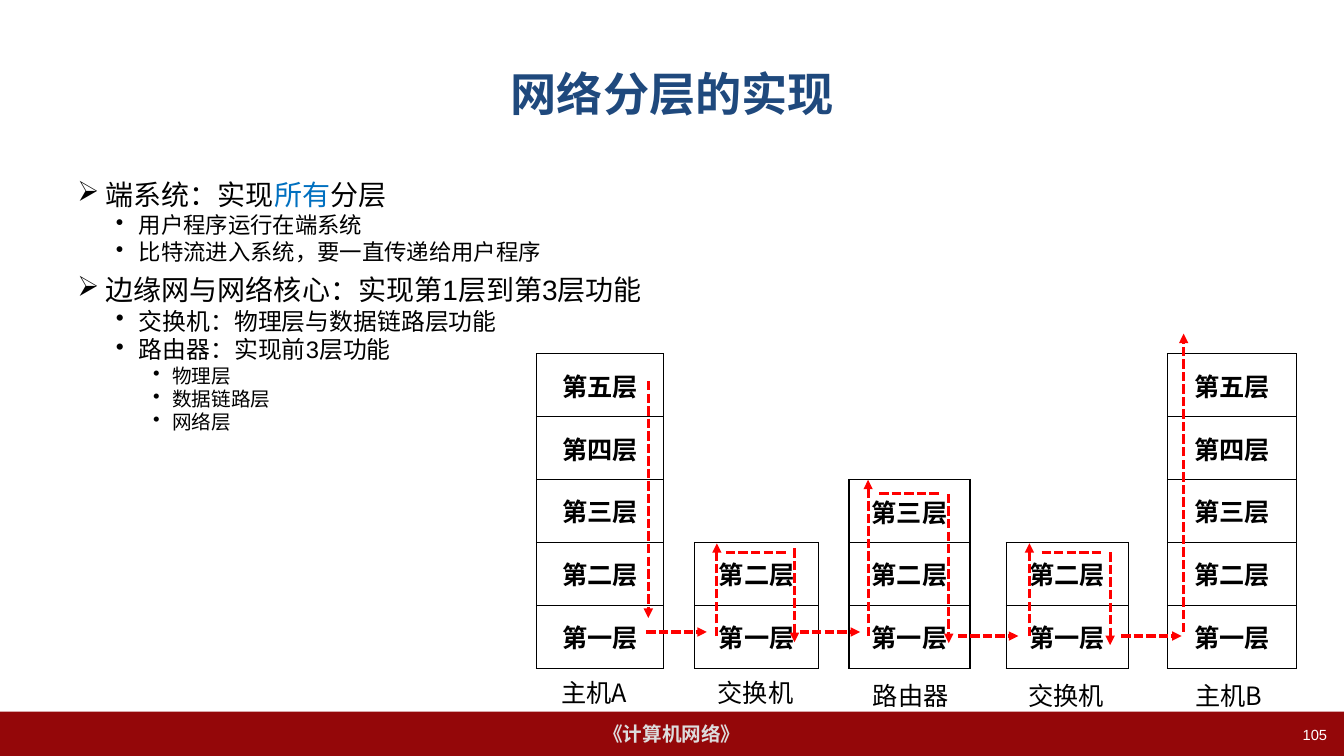
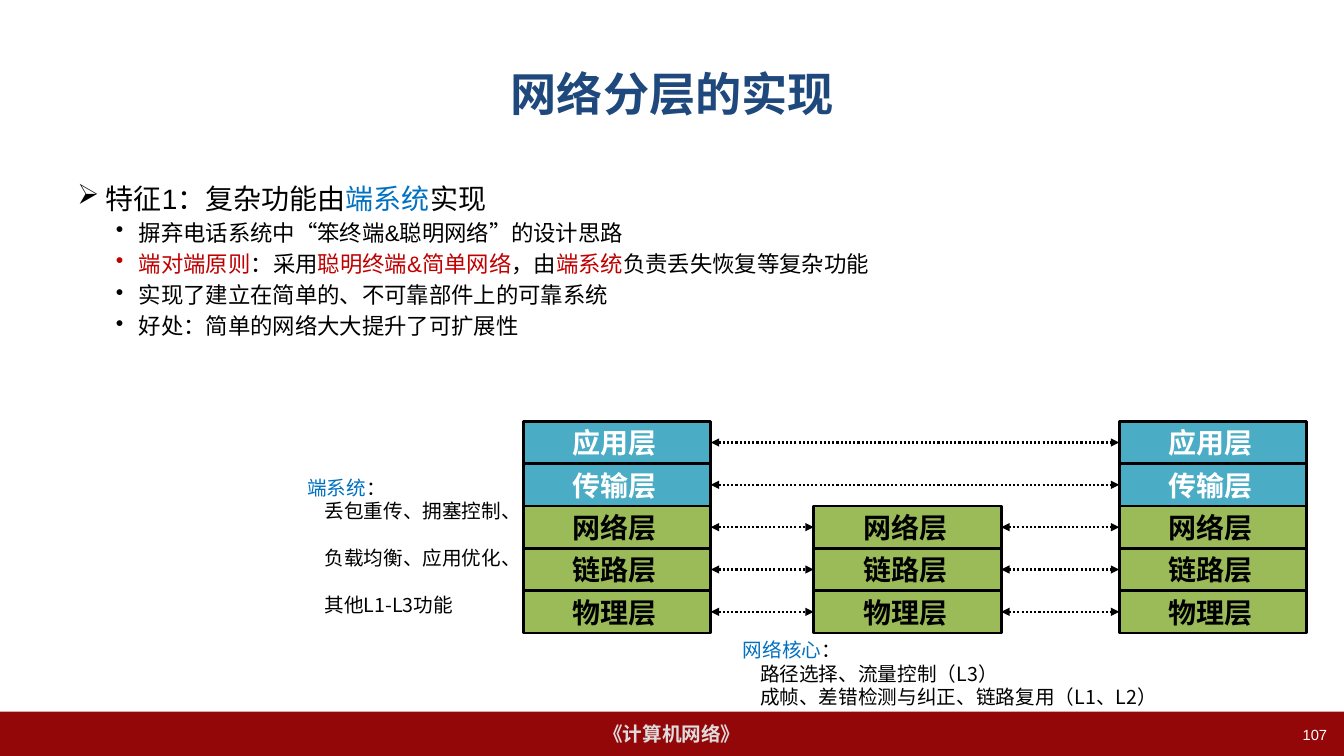
from itertools import product

from lxml.etree import SubElement
from pptx import Presentation
from pptx.dml.color import RGBColor
from pptx.enum.dml import MSO_LINE as Dash
from pptx.enum.shapes import MSO_CONNECTOR as Conn, MSO_SHAPE as Shape
from pptx.enum.text import MSO_ANCHOR as Anchor, PP_ALIGN as Align
from pptx.oxml.ns import qn
from pptx.util import Inches, Pt

BLACK = RGBColor(0, 0, 0)
WHITE = RGBColor(255, 255, 255)
NAVY = RGBColor(0x1F, 0x49, 0x7D)
MAROON = RGBColor(0x94, 0x07, 0x09)
SILVER = RGBColor(0xDD, 0xDD, 0xDD)
BLUE = RGBColor(0, 0x70, 0xC0)
CRIMSON = RGBColor(0xC0, 0, 0)
RED = RGBColor(255, 0, 0)
TEAL = RGBColor(0x4B, 0xAC, 0xC6)
GREEN = RGBColor(0x9B, 0xBB, 0x59)
SANS, CJK = "Arial", "Noto Sans CJK SC"

TITLE = "网络分层的实现"
COURSE = "《计算机网络》"
LEVELS = [
    ("➢", 0.28, 0.28, BLUE),
    ("•", 0.61, 0.23, CRIMSON),
    ("•", 0.94, 0.19, BLACK),
]

ROLES = [
    (0, 20, "端系统：实现|所有|分层"),
    (1, 16, "用户程序运行在端系统"),
    (1, 16, "比特流进入系统，要一直传递给用户程序"),
    (0, 20, "边缘网与网络核心：实现第1层到第3层功能"),
    (1, 17, "交换机：物理层与数据链路层功能"),
    (1, 17, "路由器：实现前3层功能"),
    (2, 14, "物理层"),
    (2, 14, "数据链路层"),
    (2, 14, "网络层"),
]
TRAITS = [
    (0, 20, "特征1：复杂功能由|端系统|实现"),
    (1, 16, "摒弃电话系统中“笨终端&聪明网络”的设计思路"),
    (1, 16, "|端对端原则|：采用|聪明终端&简单网络|，由|端系统|负责丢失恢复等复杂功能"),
    (1, 16, "实现了建立在简单的、不可靠部件上的可靠系统"),
    (1, 16, "好处：简单的网络大大提升了可扩展性"),
]

TIERS = ["第五层", "第四层", "第三层", "第二层", "第一层"]
BASE, ROW = 6.63, 3.12 / 5
NODES = [
    ("主机A", 5.32, 1.26, 5, 5.47, 6.65),
    ("交换机", 6.89, 1.23, 2, 7.02, 6.65),
    ("路由器", 8.42, 1.2, 3, 8.56, 6.68),
    ("交换机", 9.98, 1.21, 2, 10.1, 6.68),
    ("主机B", 11.58, 1.28, 5, 11.76, 6.68),
]
HOPS = [(6.41, 6.27), (7.93, 6.27), (9.5, 6.31), (11.12, 6.31)]
SPAN = 0.6
CLIMBS = [(7.11, 6.31, 5.39), (8.61, 6.31, 4.76), (10.21, 6.31, 5.39), (11.74, 6.27, 3.31)]
TURNS = [(7.2, 5.48), (8.72, 4.9), (10.33, 5.48)]
DROPS = [(6.43, 3.78, 6.13), (7.88, 5.44, 6.37), (9.41, 4.9, 6.38), (11.01, 5.48, 6.4)]

LAYERS = ["应用层", "传输层", "网络层", "链路层", "物理层"]
UPPER = 2
STACKS = [(5.19, 0), (8.07, UPPER), (11.1, 0)]
TOP, WIDE, HIGH = 4.18, 1.86, 0.42
NOTES = [
    (2.95, 4.67, 2.5, 16.8, "端系统",
     ["丢包重传、拥塞控制、", "负载均衡、应用优化、", "其他L1-L3功能"]),
    (7.27, 6.28, 4.8, 0, "网络核心",
     ["路径选择、流量控制（L3）", "成帧、差错检测与纠正、链路复用（L1、L2）"]),
]


def style(para, size, color=BLACK, bold=False, face=SANS, align=None):
    para.font.size, para.font.name, para.font.bold = Pt(size), face, bold
    para.font.color.rgb = color
    para.alignment = align


def write(para, text, accent):
    for i, part in enumerate(text.split("|")):
        if part:
            run = para.add_run()
            run.text = part
            run.font.color.rgb = accent if i % 2 else BLACK


def add_text(slide, left, top, width, height, text=""):
    box = slide.shapes.add_textbox(Inches(left), Inches(top), Inches(width), Inches(height))
    frame = box.text_frame
    frame.word_wrap = True
    frame.text = text
    return frame


def add_rect(slide, left, top, width, height, fill, text):
    rect = slide.shapes.add_shape(
        Shape.RECTANGLE, Inches(left), Inches(top), Inches(width), Inches(height))
    rect.shadow.inherit = False
    rect.fill.solid()
    rect.fill.fore_color.rgb = fill
    rect.line.fill.background()
    frame = rect.text_frame
    frame.margin_top = frame.margin_bottom = 0
    frame.vertical_anchor = Anchor.MIDDLE
    frame.text = text
    return rect


def add_line(slide, x1, y1, x2, y2, color, width, dash, ends=()):
    line = slide.shapes.add_connector(
        Conn.STRAIGHT, Inches(x1), Inches(y1), Inches(x2), Inches(y2))
    line.line.color.rgb = color
    line.line.width = Pt(width)
    line.line.dash_style = dash
    props = line._element.spPr
    for end in ends:
        SubElement(props.find(qn("a:ln")), qn(f"a:{end}End"), type="triangle")
    SubElement(props, qn("a:effectLst"))
    return line


def add_page(deck, number):
    slide = deck.slides.add_slide(deck.slide_layouts[6])
    band = add_rect(slide, 0, 7.06, 13.33, 0.44, MAROON, COURSE)
    style(band.text_frame.paragraphs[0], 14, SILVER, True, align=Align.CENTER)
    title = add_text(slide, 0.67, 0.3, 12, 1.25, TITLE)
    title.vertical_anchor = Anchor.MIDDLE
    style(title.paragraphs[0], 33, NAVY, True, align=Align.CENTER)
    page = add_text(slide, 10.15, 7.15, 3.11, 0.35, str(number))
    style(page.paragraphs[0], 10.5, WHITE, align=Align.RIGHT)
    return slide


def add_body(slide, items, width, lead, gaps):
    frame = add_text(slide, 0.67, 1.75, width, 4.95)
    for i, (level, size, text) in enumerate(items):
        para = frame.add_paragraph() if i else frame.paragraphs[0]
        mark, left, hang, accent = LEVELS[level]
        props = para._p.get_or_add_pPr()
        props.set("marL", str(Inches(left)))
        props.set("indent", str(-Inches(hang)))
        SubElement(props, qn("a:buChar"), char=mark)
        para.level = level
        para.line_spacing = lead
        para.space_before = Pt(gaps[level] if i else 0)
        style(para, size)
        write(para, text, accent)


def add_tiers(slide, left, width, count):
    high = ROW * count
    table = slide.shapes.add_table(
        count, 1, Inches(left), Inches(BASE - high), Inches(width), Inches(high)).table
    table.first_row = table.horz_banding = False
    for cell, name in zip(table.iter_cells(), TIERS[-count:]):
        cell.text = name
        cell.vertical_anchor = Anchor.MIDDLE
        style(cell.text_frame.paragraphs[0], 18, BLACK, True, align=Align.CENTER)
        props = cell._tc.get_or_add_tcPr()
        for side in "LRTB":
            edge = SubElement(props, qn(f"a:ln{side}"), w=str(Pt(1)))
            SubElement(SubElement(edge, qn("a:solidFill")), qn("a:srgbClr"), val=str(BLACK))
        cell.fill.background()


def add_route(slide):
    for name, left, width, count, x, y in NODES:
        add_tiers(slide, left, width, count)
        para = add_text(slide, x, y, 1.3, 0.43, name).paragraphs[0]
        para.line_spacing = Pt(23)
        style(para, 18, face=CJK)
    paths = [(x, y, x + SPAN, y, ["tail"]) for x, y in HOPS]
    paths += [(x, y, x + SPAN, y, []) for x, y in TURNS]
    paths += [(x, start, x, stop, ["tail"]) for x, start, stop in CLIMBS + DROPS]
    for *ends, heads in paths:
        add_line(slide, *ends, RED, 2.25, Dash.SQUARE_DOT, heads)


def add_stacks(slide):
    cells = {}
    for (col, (left, first)), row in product(enumerate(STACKS), range(len(LAYERS))):
        if row < first:
            continue
        fill, ink = (TEAL, WHITE) if row < UPPER else (GREEN, BLACK)
        rect = add_rect(slide, left, TOP + row * HIGH, WIDE, HIGH, fill, LAYERS[row])
        rect.line.color.rgb = BLACK
        rect.line.width = Pt(2)
        rect.text_frame.margin_right = Inches(0.14)
        style(rect.text_frame.paragraphs[0], 20, ink, True, align=Align.CENTER)
        cells[col, row] = rect
    for row in range(len(LAYERS)):
        chain = [cells[col, row] for col in range(len(STACKS)) if (col, row) in cells]
        for start, stop in zip(chain, chain[1:]):
            line = add_line(slide, 0, 0, 1, 1, BLACK, 1.5, Dash.ROUND_DOT, ["head", "tail"])
            line.begin_connect(start, 3)
            line.end_connect(stop, 1)


def add_note(slide, left, top, width, gap, name, lines):
    frame = add_text(slide, left, top, width, 0.32)
    for i, text in enumerate([f"|{name}|：", *lines]):
        para = frame.add_paragraph() if i else frame.paragraphs[0]
        if i:
            para._p.get_or_add_pPr().set("marL", str(Inches(0.17)))
        para.line_spacing = Pt(16.8)
        para.space_before = Pt(gap if i > 1 else 0)
        style(para, 14, face=CJK)
        write(para, text, BLUE)


def main():
    """Build the two slides on how network layers are implemented."""
    deck = Presentation()
    deck.slide_width, deck.slide_height = Inches(13.33), Inches(7.5)
    slide = add_page(deck, 105)
    add_body(slide, ROLES, 12, 0.9, (8, 2, 1.5))
    add_route(slide)
    slide = add_page(deck, 107)
    add_body(slide, TRAITS, 9.75, 1.0, (3, 3, 3))
    add_stacks(slide)
    for note in NOTES:
        add_note(slide, *note)
    deck.save("out.pptx")


if __name__ == "__main__":
    main()
